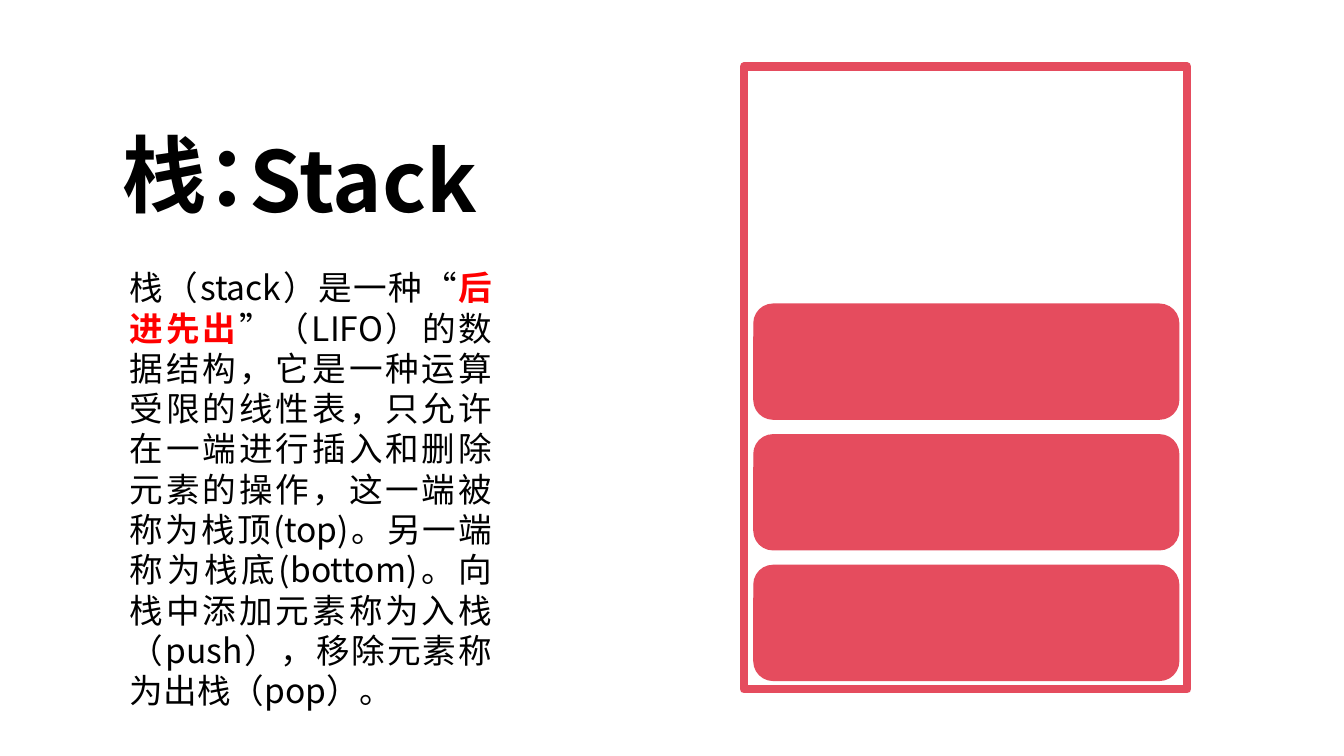
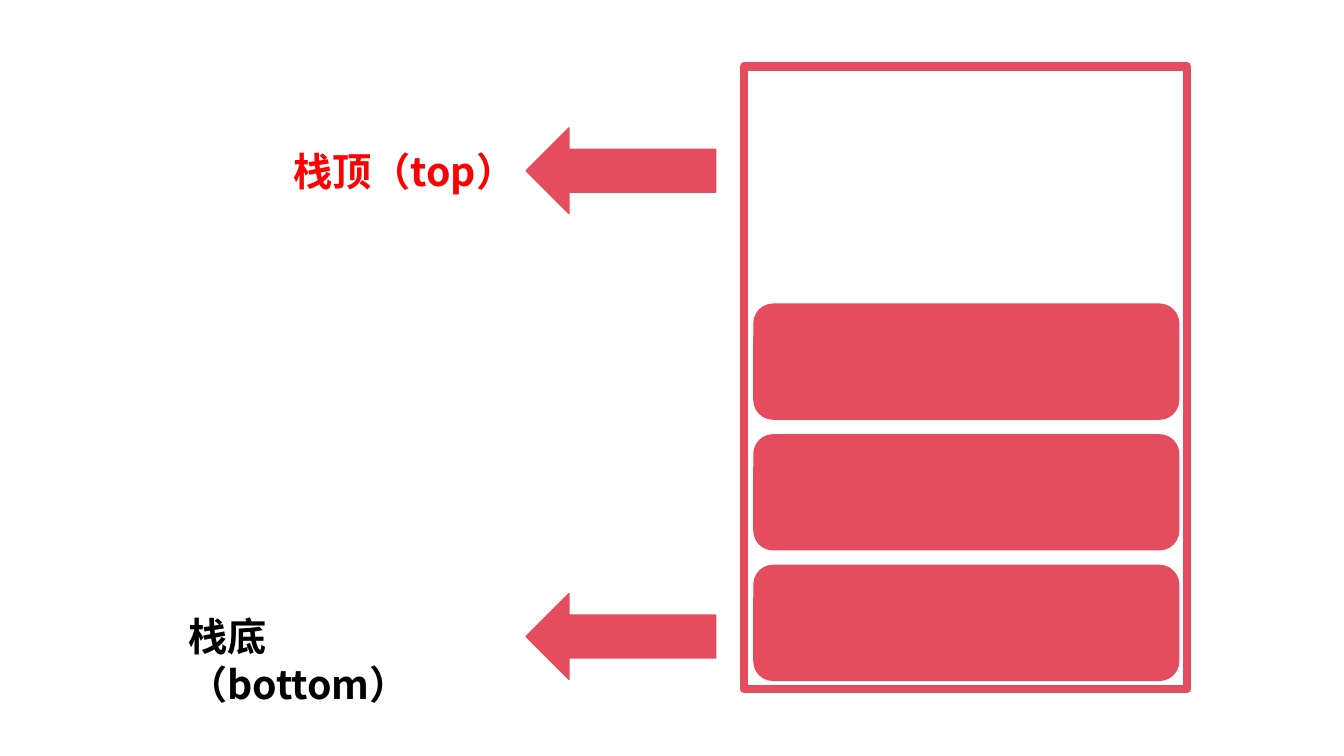
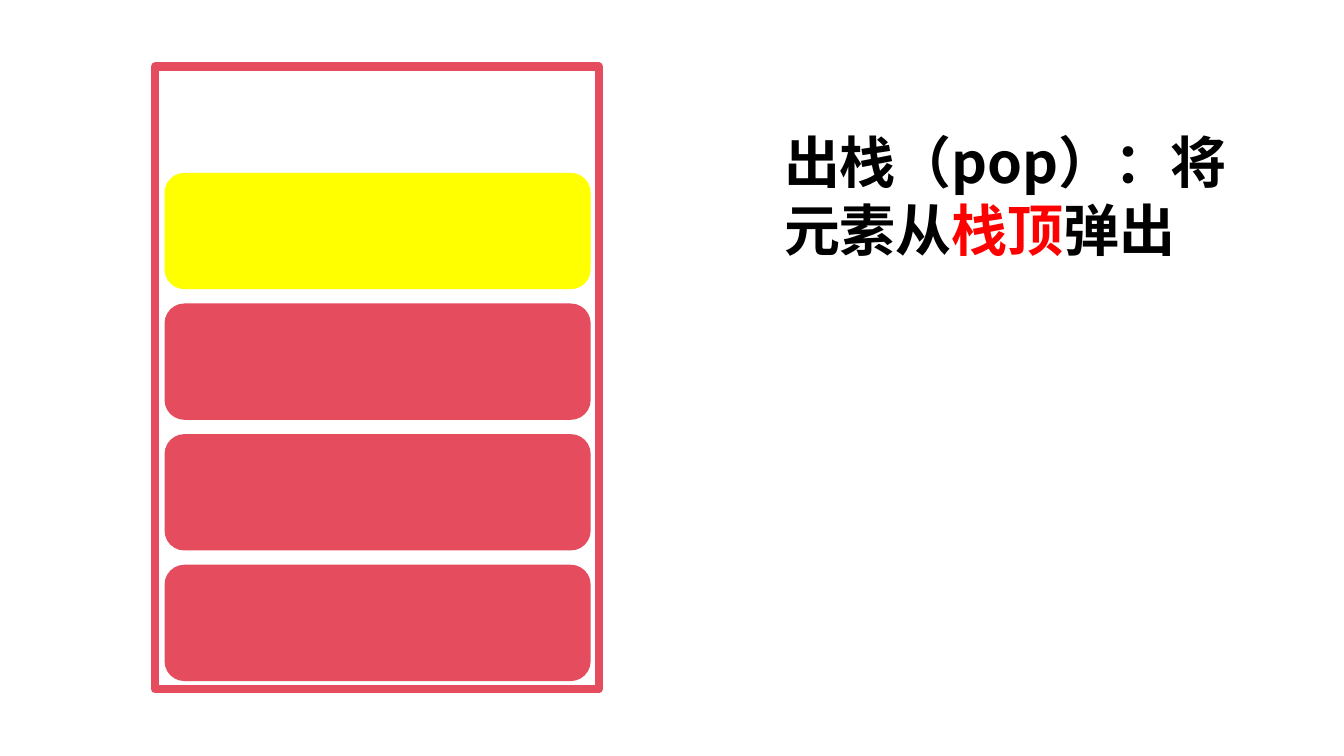
from lxml.etree import SubElement
from pptx import Presentation
from pptx.dml.color import RGBColor
from pptx.enum.shapes import MSO_SHAPE
from pptx.enum.text import MSO_ANCHOR, MSO_AUTO_SIZE, PP_ALIGN
from pptx.oxml.ns import qn
from pptx.util import Inches, Pt

SLIDE_WIDTH, SLIDE_HEIGHT = Inches(13.333), Inches(7.5)
FONT = "Noto Sans CJK SC"
CORAL = RGBColor(0xE5, 0x4C, 0x5E)
YELLOW = RGBColor(0xFF, 0xFF, 0x00)
RED = RGBColor(0xFF, 0x00, 0x00)
BLACK = RGBColor(0x00, 0x00, 0x00)

# Lengths are percentages of the slide's width and height.
FRAME_TOP, FRAME_WIDTH, FRAME_HEIGHT = 8.8, 33, 82.4
SLOT_INSET, SLOT_WIDTH, SLOT_HEIGHT = 0.75, 31.6, 15.2
BOTTOM_SLOT_TOP, SLOT_PITCH = 74.8, 17.28
STACK_LEFT, STACK_RIGHT = 11.55, 55.35


def area(left, top, width, height):
    """Turn percentages of the slide into lengths."""
    return (int(SLIDE_WIDTH * left / 100), int(SLIDE_HEIGHT * top / 100),
            int(SLIDE_WIDTH * width / 100), int(SLIDE_HEIGHT * height / 100))


def add_block(shapes, preset, bounds, color, filled=True, line_width=1):
    block = shapes.add_shape(preset, *area(*bounds))
    block.shadow.inherit = False
    if filled:
        block.fill.solid()
        block.fill.fore_color.rgb = color
    else:
        block.fill.background()
    block.line.color.rgb = color
    block.line.width = Pt(line_width)


def add_element(shapes, left, level, color=CORAL):
    """Add a stack element, counting levels up from the bottom."""
    top = BOTTOM_SLOT_TOP - level * SLOT_PITCH
    add_block(shapes, MSO_SHAPE.ROUNDED_RECTANGLE,
              (left + SLOT_INSET, top, SLOT_WIDTH, SLOT_HEIGHT), color)


def add_stack(slide, left):
    """Add the open frame with its three resting elements."""
    stack = slide.shapes.add_group_shape().shapes
    add_block(stack, MSO_SHAPE.RECTANGLE,
              (left, FRAME_TOP, FRAME_WIDTH, FRAME_HEIGHT),
              CORAL, filled=False, line_width=5.75)
    for level in range(3):
        add_element(stack, left, level)


def add_text(slide, bounds, size, runs, align=PP_ALIGN.LEFT, spacing=None,
             anchor=MSO_ANCHOR.TOP, grow=True):
    """Add one paragraph from (text, color, bold) runs."""
    frame = slide.shapes.add_textbox(*area(*bounds)).text_frame
    frame.word_wrap = True
    frame.vertical_anchor = anchor
    if grow:
        frame.auto_size = MSO_AUTO_SIZE.SHAPE_TO_FIT_TEXT
    paragraph = frame.paragraphs[0]
    paragraph.alignment = align
    if spacing:
        paragraph.line_spacing = spacing
    for text, color, bold in runs:
        run = paragraph.add_run()
        run.text = text
        run.font.size = Pt(size)
        run.font.bold = bold
        run.font.color.rgb = color
        run.font.name = FONT
        properties = run.font._element if hasattr(run.font, "_element") else run._r.get_or_add_rPr()
        properties.set("lang", "zh-CN")
        SubElement(properties, qn("a:ea")).set("typeface", FONT)


def add_end_label(slide, top, label_left, label, color):
    """Point an arrow from one end of the stack to its name."""
    add_block(slide.shapes, MSO_SHAPE.LEFT_ARROW, (39.15, top, 14.1, 11.33), CORAL)
    add_text(slide, (label_left, top + 1.87, 22.65, 7.6), 28, [(label, color, True)])


def add_definition_slide(slide):
    add_text(slide, (8.4, 11.6, 10.28, 18.8), 60, [("栈：", BLACK, True)], spacing=1.3)
    add_stack(slide, STACK_RIGHT)
    add_text(slide, (11.63, 8.8, 30.83, 25.87), 60, [("Stack", BLACK, True)],
             PP_ALIGN.CENTER, 1.3, MSO_ANCHOR.MIDDLE, grow=False)
    add_text(slide, (8.93, 34.67, 28.43, 60.53), 24, [
        ("栈（stack）是一种“", BLACK, False),
        ("后进先出", RED, True),
        ("”（LIFO）的数据结构，它是一种运算受限的线性表，只允许在一端进行插入和删除元素的操作，"
         "这一端被称为栈顶(top)。另一端称为栈底(bottom)。向栈中添加元素称为入栈（push），"
         "移除元素称为出栈（pop）。", BLACK, False),
    ], PP_ALIGN.JUSTIFY)


def add_ends_slide(slide):
    add_stack(slide, STACK_RIGHT)
    add_end_label(slide, 78.53, 13.28, "栈底（bottom）", BLACK)
    add_end_label(slide, 16.93, 21.08, "栈顶（top）", RED)


def add_pop_slide(slide):
    add_stack(slide, STACK_LEFT)
    add_element(slide.shapes, STACK_LEFT, 3, YELLOW)
    add_text(slide, (57.6, 16.27, 34.88, 19.33), 40, [
        ("出栈（pop）：将元素从", BLACK, True),
        ("栈顶", RED, True),
        ("弹出", BLACK, True),
    ])


def main():
    presentation = Presentation()
    presentation.slide_width, presentation.slide_height = SLIDE_WIDTH, SLIDE_HEIGHT
    blank = presentation.slide_layouts[6]
    for fill_slide in (add_definition_slide, add_ends_slide, add_pop_slide):
        fill_slide(presentation.slides.add_slide(blank))
    presentation.save("out.pptx")


if __name__ == "__main__":
    main()
